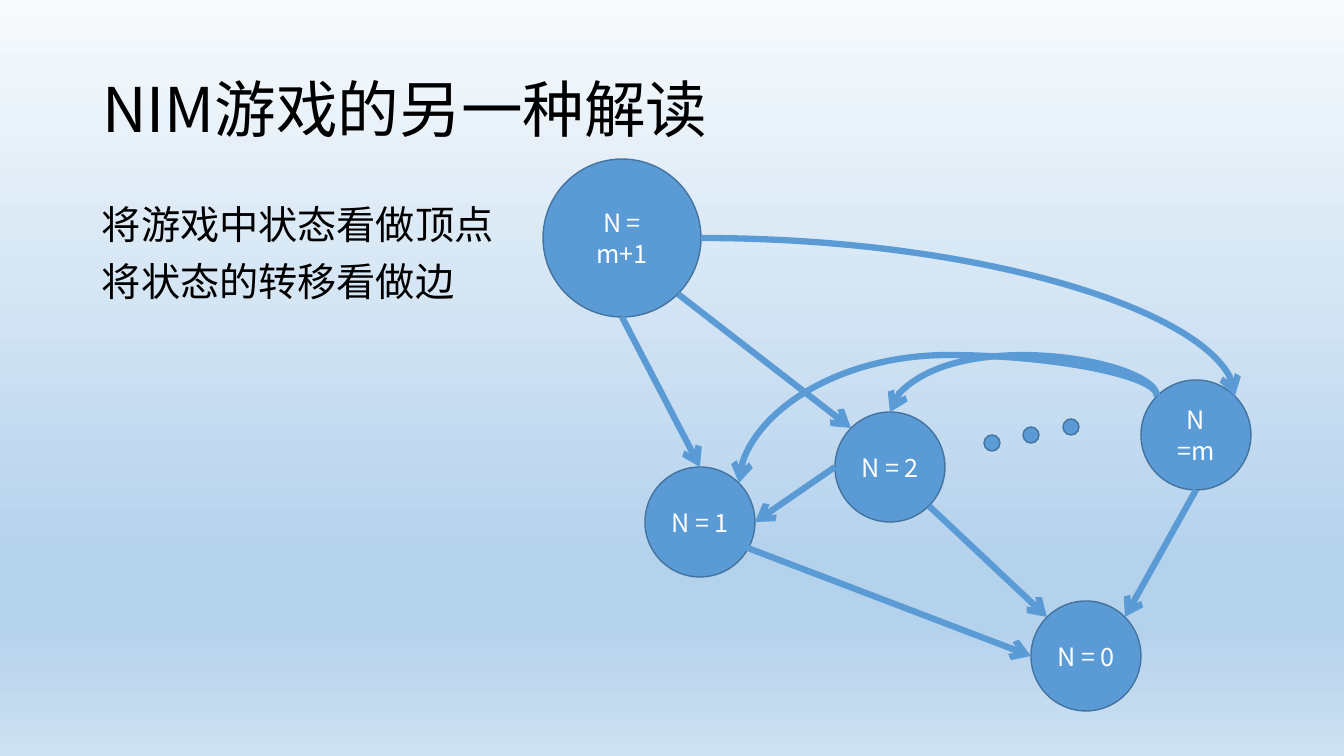
import math

import pptx
import pptx.dml.color
import pptx.enum.shapes
import pptx.enum.text
import pptx.oxml
import pptx.oxml.ns
import pptx.util

SCALE = 914400 / 100.8
FONT = "Noto Sans CJK SC"
BLUE, EDGE = "5B9BD5", "43739E"
LEFT, MID = pptx.enum.text.PP_ALIGN.LEFT, pptx.enum.text.PP_ALIGN.CENTER
TOP, CENTER = pptx.enum.text.MSO_ANCHOR.TOP, pptx.enum.text.MSO_ANCHOR.MIDDLE
LINK = pptx.enum.shapes.MSO_CONNECTOR
qn = pptx.oxml.ns.qn

# Circles: text, centre x, centre y, radius
NODES = {
    "0": ("N = 0", 1086, 656, 55),
    "2": ("N = 2", 890, 467, 55),
    "m": ("N =m", 1196, 435, 55),
    "m+1": ("N = m+1", 622, 238, 79),
    "1": ("N = 1", 700, 522, 55),
}
DOTS = [(992, 443), (1031, 435), (1071, 427)]


def px(n):
    return pptx.util.Emu(round(n * SCALE))


def rgb(code):
    return pptx.dml.color.RGBColor.from_string(code)


def add(parent, tag, **attrs):
    node = parent.makeelement(qn(tag), attrs)
    parent.append(node)
    return node


def write(frame, text, size=18, color="000000", align=LEFT, anchor=TOP,
          lines=None, before=None):
    frame.word_wrap = True
    frame.auto_size = pptx.enum.text.MSO_AUTO_SIZE.NONE
    frame.vertical_anchor = anchor
    frame.text = text
    for para in frame.paragraphs:
        para.alignment = align
        para.line_spacing = lines
        if before is not None:
            para.space_before = pptx.util.Pt(before)
        for run in para.runs:
            run.font.size = pptx.util.Pt(size)
            run.font.color.rgb = rgb(color)
            run.font.name = FONT
            add(run.font._element, "a:ea", typeface=FONT)


def paint(slide):
    """Fill the background with a vertical gradient."""
    fill = slide.background.fill
    fill.gradient()
    fill.gradient_angle = 270
    stops = slide.element.find(".//" + qn("a:gsLst"))
    for stop in list(stops):
        stops.remove(stop)
    for pos, code in [(0, "F7FAFD"), (74, "B5D2EC"), (83, "B5D2EC"), (100, "CEE1F2")]:
        stop = add(stops, "a:gs", pos=str(pos * 1000))
        add(stop, "a:srgbClr", val=code)


def disc(slide, x, y, r, text=None):
    shape = slide.shapes.add_shape(pptx.enum.shapes.MSO_SHAPE.OVAL,
                                   px(x - r), px(y - r), px(2 * r), px(2 * r))
    shape.shadow.inherit = False
    shape.fill.solid()
    shape.fill.fore_color.rgb = rgb(BLUE)
    shape.line.color.rgb = rgb(EDGE)
    shape.line.width = pptx.util.Pt(1)
    if text:
        write(shape.text_frame, text, color="FFFFFF", align=MID, anchor=CENTER)


def rim(name, angle):
    """Point on a circle; degrees run clockwise from the right."""
    _, x, y, r = NODES[name]
    turn = math.radians(angle)
    return round(x + r * math.cos(turn)), round(y + r * math.sin(turn))


def arrow(slide, start, end, kind=LINK.STRAIGHT):
    link = slide.shapes.add_connector(kind, *map(px, start + end))
    link.line.color.rgb = rgb(BLUE)
    link.line.width = pptx.util.Pt(4.5)
    add(link.line._get_or_add_ln(), "a:tailEnd", type="arrow")
    add(link._element.spPr, "a:effectLst")
    return link


def bend(slide, start, end):
    """Curve that leaves sideways and arrives from above."""
    link = arrow(slide, start, end, LINK.CURVE)
    link._element.spPr.find(qn("a:prstGeom")).set("prst", "curvedConnector2")


def arch(slide, start, end, apex):
    """Curve that rises to apex and falls to the left: a quarter-turned box."""
    (x1, y1), (x2, y2) = start, end
    x, y = (x1 + x2) / 2, (y1 + y2) / 2
    w, h = (y2 - y1) / 2, (x1 - x2) / 2
    link = arrow(slide, (x + w, y + h), (x - w, y - h), LINK.CURVE)
    props = link._element.spPr
    props.find(qn("a:xfrm")).set("rot", str(270 * 60000))
    guide = round((apex - y1) / (y2 - y1) * 100000)
    add(props.find(".//" + qn("a:avLst")), "a:gd", name="adj1", fmla=f"val {guide}")


def main():
    deck = pptx.Presentation()
    deck.slide_width, deck.slide_height = px(1344), px(756)
    slide = deck.slides.add_slide(deck.slide_layouts[5])
    paint(slide)

    # Title and body
    title = slide.shapes.title
    title.left, title.top, title.width, title.height = map(px, (92, 40, 1159, 146))
    write(title.text_frame, "NIM游戏的另一种解读", size=44, anchor=CENTER, lines=0.9)
    body = slide.shapes.add_textbox(*map(px, (92, 201, 1159, 480)))
    write(body.text_frame, "将游戏中状态看做顶点\n将状态的转移看做边",
          size=28, lines=0.9, before=10)

    # States
    for x, y in DOTS:
        disc(slide, x, y, 8)
    for text, x, y, r in NODES.values():
        disc(slide, x, y, r, text)

    # Moves
    for start, end in [
        (rim("2", 45), rim("0", 225)),
        (rim("m", 90), rim("0", 315)),
        ((740, 545), rim("0", 180)),
        (rim("2", 180), rim("1", 0)),
        (rim("m+1", 90), rim("1", 270)),
        (rim("m+1", 45), rim("2", 225)),
    ]:
        arrow(slide, start, end)
    for end in (rim("2", 270), rim("1", 315)):
        arch(slide, rim("m", 225), end, 355)
    bend(slide, rim("m+1", 0), rim("m", 315))

    deck.save("out.pptx")


main()
